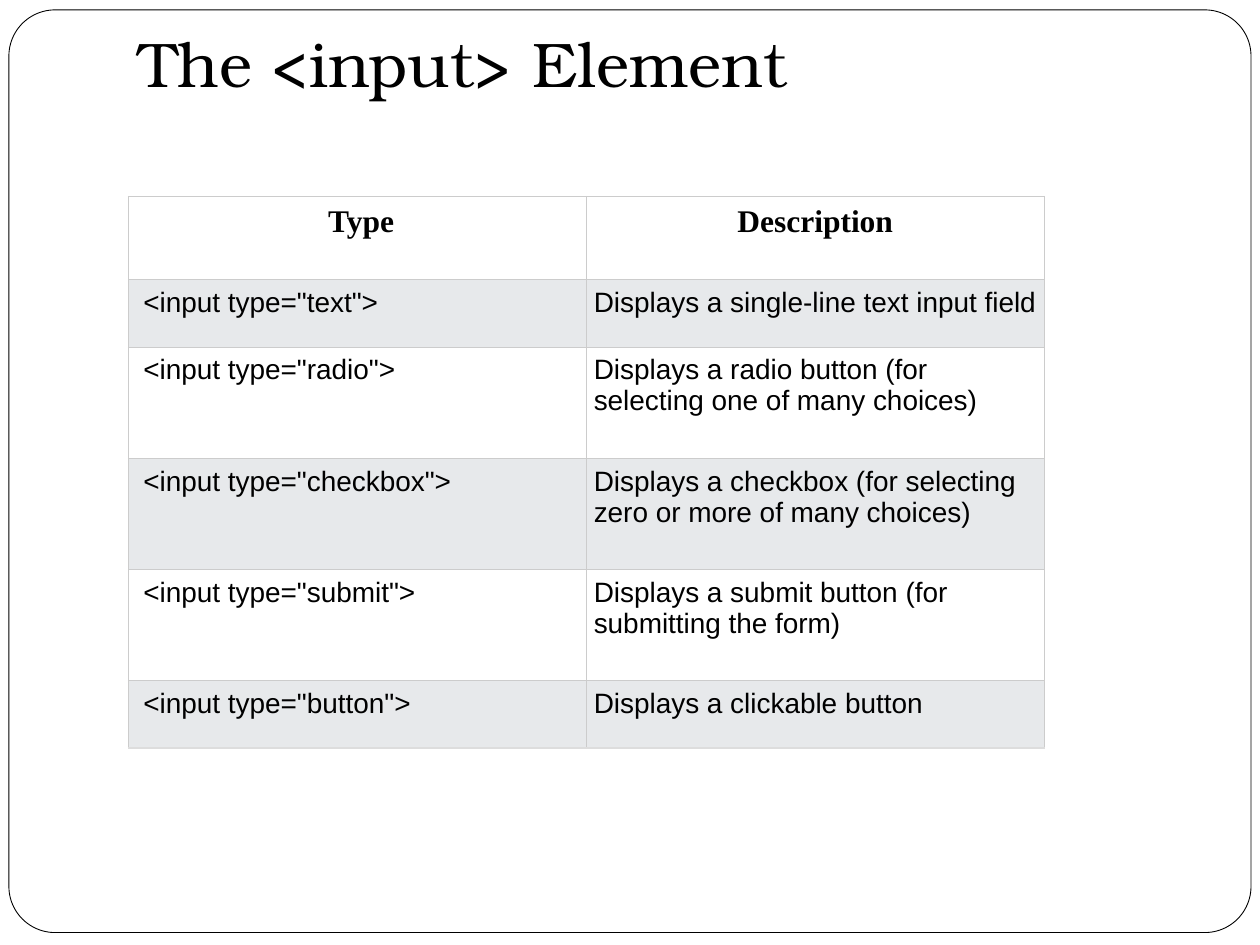
from lxml import etree
from pptx import Presentation
from pptx.dml.color import RGBColor
from pptx.enum.shapes import MSO_SHAPE
from pptx.enum.text import MSO_ANCHOR, MSO_AUTO_SIZE, PP_ALIGN
from pptx.oxml.ns import qn
from pptx.util import Cm, Pt

ROUND = MSO_SHAPE.ROUNDED_RECTANGLE
TOP = MSO_ANCHOR.TOP
FIXED = MSO_AUTO_SIZE.NONE
LEFT, CENTER = PP_ALIGN.LEFT, PP_ALIGN.CENTER

TITLE = "The <input> Element"
HEAD = ("Type", "Description")
INPUTS = [
    ("text", "Displays a single-line text input field"),
    ("radio", "Displays a radio button (for selecting one of many choices)"),
    ("checkbox", "Displays a checkbox (for selecting zero or more of many choices)"),
    ("submit", "Displays a submit button (for submitting the form)"),
    ("button", "Displays a clickable button"),
]
ROWS = [HEAD] + [(f'<input type="{kind}">', note) for kind, note in INPUTS]
HIGHS = (1.68, 1.36, 2.24, 2.24, 2.24, 1.36)
WIDE = 9.23
PADS = (0.3, 0.15)

THEME = {
    "ink": "000000",
    "paper": "FFFFFF",
    "band": "E7E9EB",
    "rule": "CCCCCC",
    "base": "DDDDDD",
    "title": ("TeX Gyre Bonum", 36, False),
    "head": ("Times New Roman", 18, True),
    "body": ("Arial", 16, False),
}


def color(name):
    return RGBColor.from_string(THEME[name])


def style(para, role, align):
    font = para.font
    font.name, size, font.bold = THEME[role]
    font.size = Pt(size)
    font.color.rgb = color("ink")
    para.alignment = align


def border(cell, base):
    props = cell._tc.get_or_add_tcPr()
    for spot, side in enumerate("LRTB"):
        line = etree.Element(qn(f"a:ln{side}"), w=str(Pt(0.75)))
        fill = etree.SubElement(line, qn("a:solidFill"))
        tint = THEME[base if side == "B" else "rule"]
        etree.SubElement(fill, qn("a:srgbClr"), val=tint)
        props.insert(spot, line)


def add_frame(slide):
    frame = slide.shapes.add_shape(ROUND, Cm(0.18), Cm(0.2), Cm(25.04), Cm(18.6))
    frame.adjustments[0] = 0.05
    frame.shadow.inherit = False
    frame.fill.solid()
    frame.fill.fore_color.rgb = color("paper")
    frame.line.color.rgb = color("ink")
    frame.line.width = Pt(0.5)
    slide.shapes._spTree.insert(2, frame._element)


def add_title(slide):
    title = slide.shapes.title
    title.left, title.top = Cm(2.54), Cm(0.5)
    title.width, title.height = Cm(21.59), Cm(3.44)
    box = title.text_frame
    box.text = TITLE
    box.word_wrap = True
    box.auto_size = FIXED
    box.vertical_anchor = TOP
    box.margin_left = box.margin_right = box.margin_bottom = Cm(0.25)
    box.margin_top = 0
    style(box.paragraphs[0], "title", LEFT)


def add_grid(slide):
    shape = slide.shapes.add_table(
        len(ROWS), len(HEAD), Cm(2.59), Cm(3.96),
        Cm(WIDE * len(HEAD)), Cm(sum(HIGHS)))
    table = shape.table
    table.first_row = table.horz_banding = False
    for col in table.columns:
        col.width = Cm(WIDE)
    for i, (texts, high) in enumerate(zip(ROWS, HIGHS)):
        table.rows[i].height = Cm(high)
        role, align = ("body", LEFT) if i else ("head", CENTER)
        for j, (text, pad) in enumerate(zip(texts, PADS)):
            cell = table.cell(i, j)
            cell.text = text
            cell.margin_left = Cm(pad)
            cell.margin_right = cell.margin_top = cell.margin_bottom = Cm(0.15)
            cell.vertical_anchor = TOP
            cell.fill.solid()
            cell.fill.fore_color.rgb = color("band" if i % 2 else "paper")
            border(cell, "base" if i == len(ROWS) - 1 else "rule")
            style(cell.text_frame.paragraphs[0], role, align)


def main():
    deck = Presentation()
    deck.slide_width, deck.slide_height = Cm(25.4), Cm(19.05)
    slide = deck.slides.add_slide(deck.slide_layouts[5])
    add_frame(slide)
    add_title(slide)
    add_grid(slide)
    deck.save("out.pptx")


if __name__ == "__main__":
    main()
